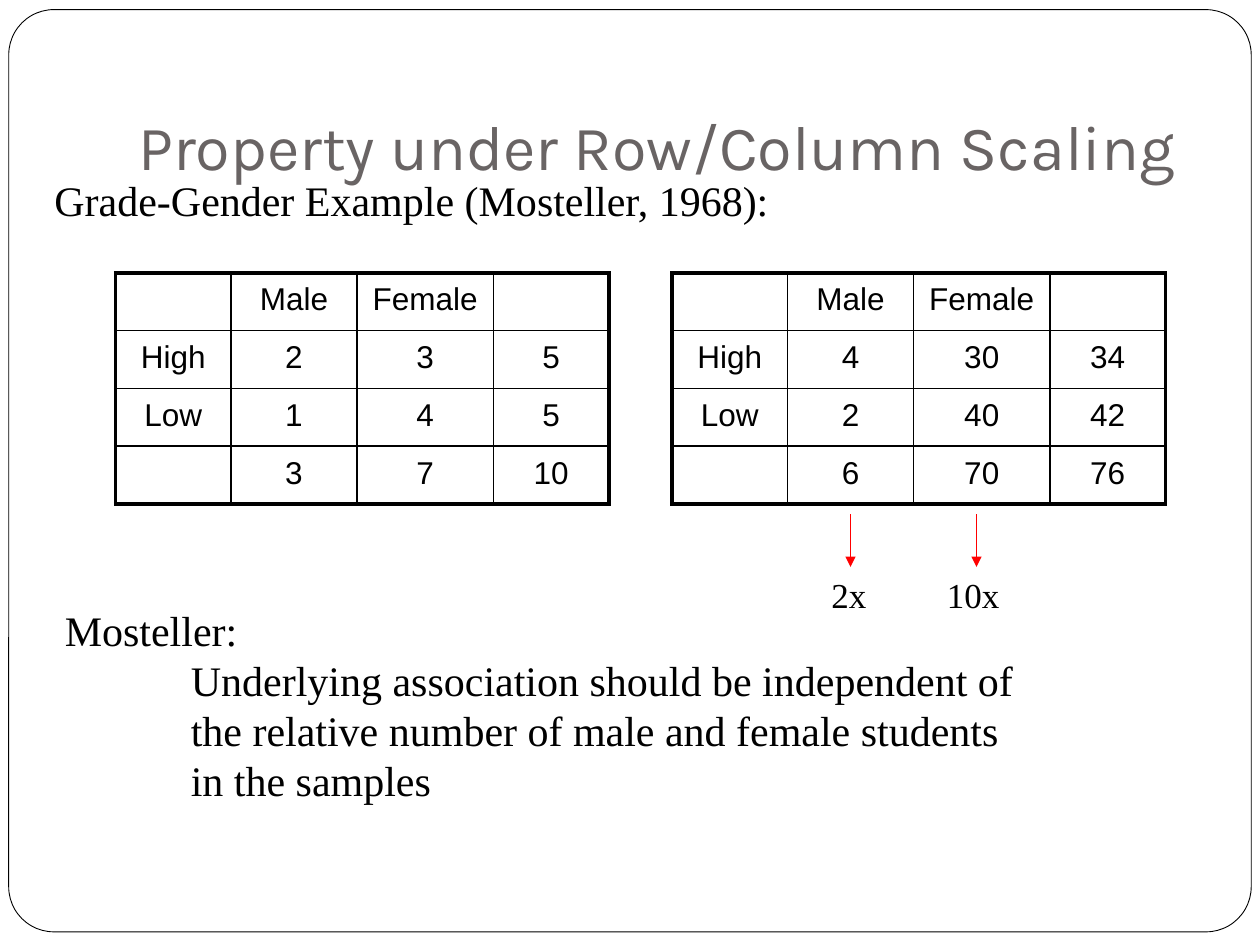
from lxml import etree
from pptx import Presentation
from pptx.dml.color import RGBColor
from pptx.enum.shapes import MSO_CONNECTOR, MSO_SHAPE
from pptx.enum.text import MSO_ANCHOR, PP_ALIGN
from pptx.oxml.ns import qn
from pptx.util import Pt

STRAIGHT = MSO_CONNECTOR.STRAIGHT
ROUNDED = MSO_SHAPE.ROUNDED_RECTANGLE
BOTTOM, TOP = MSO_ANCHOR.BOTTOM, MSO_ANCHOR.TOP
CENTER = PP_ALIGN.CENTER

COLORS = {"ink": "000000", "paper": "FFFFFF", "title": "696464", "arrow": "FF0000"}
SERIF = "Times New Roman"
INNER_BORDER, OUTER_BORDER = 1, 2.25


def add_text(box, paragraphs, size, font=SERIF, color="ink", anchor=TOP):
    """Add a text box at box (left, top, width, height) and return its frame."""
    frame = slide.shapes.add_textbox(*map(Pt, box)).text_frame
    frame.word_wrap = True
    frame.vertical_anchor = anchor
    frame.text = "\n".join(paragraphs)
    for paragraph in frame.paragraphs:
        paragraph.font.size = Pt(size)
        paragraph.font.name = font
        paragraph.font.color.rgb = RGBColor.from_string(COLORS[color])
    return frame


def set_borders(cell, widths):
    """Draw the left, right, top and bottom borders, which precede the fill."""
    properties = cell._tc.get_or_add_tcPr()
    for position, (side, width) in enumerate(zip("LRTB", widths)):
        line = etree.Element(qn(f"a:ln{side}"), w=str(Pt(width)))
        fill = etree.SubElement(line, qn("a:solidFill"))
        etree.SubElement(fill, qn("a:srgbClr"), val=COLORS["ink"])
        properties.insert(position, line)


prs = Presentation()
prs.slide_width, prs.slide_height = Pt(720), Pt(540)
slide = prs.slides.add_slide(prs.slide_layouts[6])

# Page frame
frame = slide.shapes.add_shape(ROUNDED, Pt(5), Pt(5.5), Pt(710), Pt(527))
frame.adjustments[0] = 0.049
frame.shadow.inherit = False
frame.fill.solid()
frame.fill.fore_color.rgb = RGBColor.from_string(COLORS["paper"])
frame.line.color.rgb = RGBColor.from_string(COLORS["ink"])
frame.line.width = Pt(0.5)

title = add_text((72, 21.6, 612, 90), ["Property under Row/Column Scaling"],
                 36, "Karla", "title", BOTTOM)
title.margin_bottom = Pt(7.2)

# Grade by gender, before and after scaling the columns
column_widths = [66, 72, 78, 66]
row_height = 33
tables_top = 156
header = ["", "Male", "Female", ""]
grade_tables = [
    (66, [header, ["High", 2, 3, 5], ["Low", 1, 4, 5], ["", 3, 7, 10]]),
    (384, [header, ["High", 4, 30, 34], ["Low", 2, 40, 42], ["", 6, 70, 76]]),
]
for left, rows in grade_tables:
    table = slide.shapes.add_table(
        len(rows), len(header), Pt(left), Pt(tables_top),
        Pt(sum(column_widths)), Pt(row_height * len(rows))).table
    table.first_row = table.horz_banding = False
    for column, width in zip(table.columns, column_widths):
        column.width = Pt(width)
    last_row, last_column = len(rows) - 1, len(header) - 1
    for r, values in enumerate(rows):
        table.rows[r].height = Pt(row_height)
        for c, value in enumerate(values):
            cell = table.cell(r, c)
            cell.margin_top = Pt(5.4)
            cell.fill.background()
            on_edge = [c == 0, c == last_column, r == 0, r == last_row]
            set_borders(cell, [OUTER_BORDER if edge else INNER_BORDER for edge in on_edge])
            cell.text = str(value)
            paragraph = cell.text_frame.paragraphs[0]
            paragraph.alignment = CENTER
            paragraph.font.size = Pt(18)
            paragraph.font.name = "Arial"
            paragraph.font.color.rgb = RGBColor.from_string(COLORS["ink"])

# Statements
add_text((24, 96, 606, 36), ["Grade-Gender Example (Mosteller, 1968):"], 24)

claim_lines = [
    "Underlying association should be independent of",
    "the relative number of male and female students",
    "in the samples",
]
mosteller = add_text((30, 342, 606, 122), ["Mosteller:", "\v".join(claim_lines)], 24)
for paragraph in mosteller.paragraphs:
    paragraph.line_spacing = Pt(28.6)
mosteller.paragraphs[1]._p.get_or_add_pPr().set("marL", str(Pt(72)))

# Scaling factors under the gender columns
for arrow_x, label_left, factor in [(486, 468, "2x"), (558, 534, "10x")]:
    arrow = slide.shapes.add_connector(STRAIGHT, Pt(arrow_x), Pt(294), Pt(arrow_x), Pt(324))
    arrow.line.color.rgb = RGBColor.from_string(COLORS["arrow"])
    arrow.line.width = Pt(1)
    etree.SubElement(arrow.line._get_or_add_ln(), qn("a:tailEnd"), type="triangle")
    etree.SubElement(arrow._element.spPr, qn("a:effectLst"))
    add_text((label_left, 324, 48, 31), [factor], 20)

prs.save("out.pptx")
